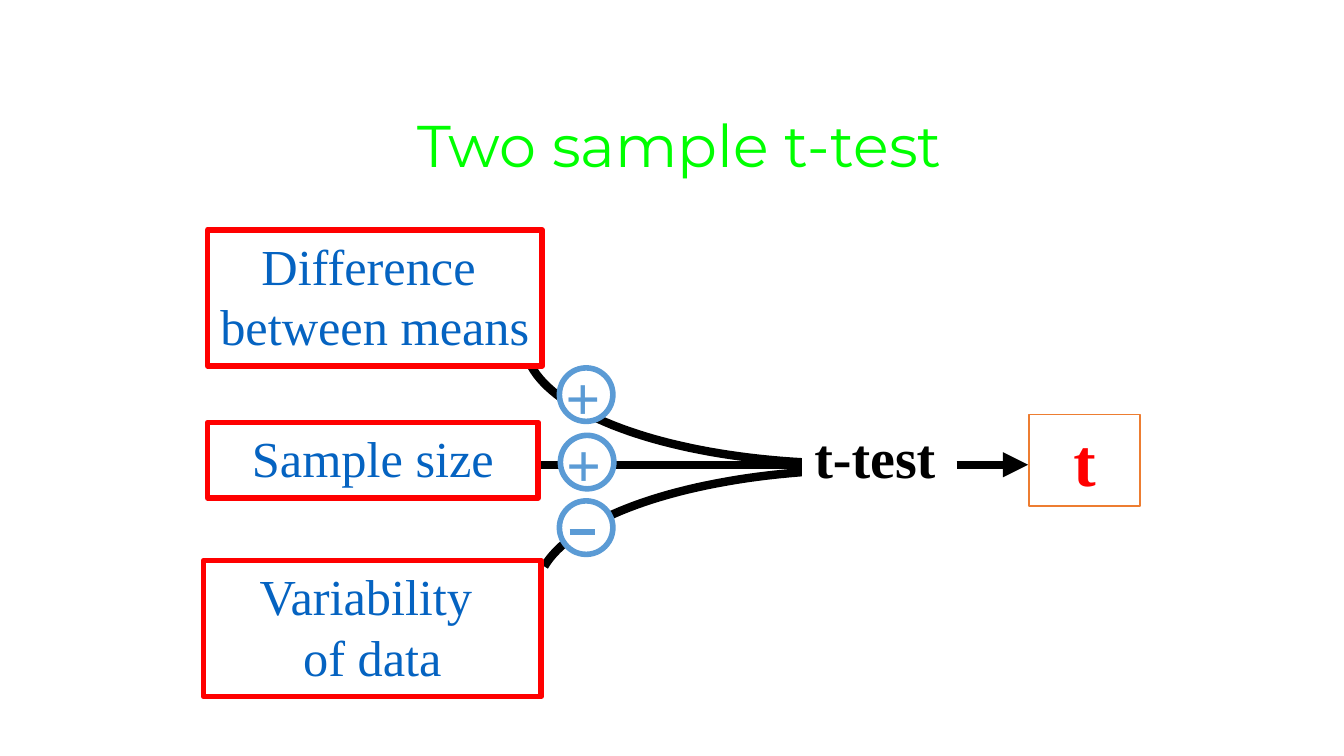
from dataclasses import dataclass

import pptx
import pptx.dml.color
import pptx.enum.shapes
import pptx.enum.text
import pptx.oxml
import pptx.oxml.ns
import pptx.util

Pt = pptx.util.Pt
Shape = pptx.enum.shapes.MSO_SHAPE
Align = pptx.enum.text.PP_ALIGN
Anchor = pptx.enum.text.MSO_ANCHOR
AutoSize = pptx.enum.text.MSO_AUTO_SIZE
Point = tuple[float, float]

SERIF = "Times New Roman"
BLACK, WHITE, RED = "000000", "FFFFFF", "FF0000"
LINK_BLUE, SIGN_BLUE, ORANGE, GREEN = "0563C1", "5B9BD5", "ED7D31", "00FF00"


@dataclass(frozen=True)
class Label:
    lines: tuple[str, ...]
    size: float
    color: str
    bold: bool = False
    font: str = SERIF
    align: Align = Align.CENTER
    wrap: bool = True


@dataclass(frozen=True)
class Box:
    left: float
    top: float
    width: float
    height: float
    outline: str
    weight: float
    label: Label
    fill: str | None = WHITE


@dataclass(frozen=True)
class Sign:
    left: float
    top: float
    positive: bool


FACTORS = (
    Box(148.3, 164.2, 239, 97.2, RED, 4,
        Label(("Difference ", "between means"), 36, LINK_BLUE, wrap=False)),
    Box(148.3, 301.7, 236.2, 54, RED, 4, Label(("Sample size",), 36, LINK_BLUE)),
    Box(145.4, 400.3, 241.2, 97.2, RED, 4,
        Label(("Variability ", "of data"), 36, LINK_BLUE)),
)
TEST = Box(574.6, 298.1, 108.7, 59, WHITE, 4,
           Label(("t-test",), 40, BLACK, True, align=Align.LEFT))
STATISTIC = Box(735.1, 295.9, 79.2, 65.5, ORANGE, 1,
                Label(("t",), 48, RED, True, wrap=False), fill=None)
SIGNS = (Sign(399.6, 262.8, True), Sign(400.3, 311, True), Sign(399.6, 357.8, False))
CURVES = (
    ((388.8, 404.6), (412.6, 364.3), (509, 335.5), (620.6, 335.5)),
    ((379.4, 261.4), (401.8, 302.4), (497.5, 331.2), (607.7, 331.2)),
)
PLUS = Label(("+",), 44, SIGN_BLUE, True, align=Align.LEFT, wrap=False)
SIGN_DIAMETER = 38.2
FLOW_Y = 332
CURVE_STEPS = 40


def rgb(color: str) -> pptx.dml.color.RGBColor:
    return pptx.dml.color.RGBColor.from_string(color)


def write(frame: pptx.text.text.TextFrame, label: Label, anchor: Anchor, fit: AutoSize) -> None:
    frame.word_wrap = label.wrap
    frame.auto_size = fit
    frame.vertical_anchor = anchor
    for index, line in enumerate(label.lines):
        paragraph = frame.paragraphs[0] if index == 0 else frame.add_paragraph()
        paragraph.alignment = label.align
        run = paragraph.add_run()
        run.text = line
        run.font.name = label.font
        run.font.size = Pt(label.size)
        run.font.bold = label.bold
        run.font.color.rgb = rgb(label.color)


def style(shape: pptx.shapes.autoshape.Shape, outline: str, weight: float, fill: str | None) -> None:
    shape.shadow.inherit = False
    if fill is None:
        shape.fill.background()
    else:
        shape.fill.solid()
        shape.fill.fore_color.rgb = rgb(fill)
    shape.line.color.rgb = rgb(outline)
    shape.line.width = Pt(weight)


def draw_box(shapes: pptx.shapes.shapetree.SlideShapes, box: Box) -> None:
    shape = shapes.add_shape(Shape.RECTANGLE, Pt(box.left), Pt(box.top),
                             Pt(box.width), Pt(box.height))
    style(shape, box.outline, box.weight, box.fill)
    write(shape.text_frame, box.label, Anchor.TOP, AutoSize.SHAPE_TO_FIT_TEXT)


def draw_line(shapes: pptx.shapes.shapetree.SlideShapes, start: Point, end: Point,
              color: str, weight: float, arrow: bool = False) -> None:
    line = shapes.add_connector(pptx.enum.shapes.MSO_CONNECTOR.STRAIGHT,
                                *map(Pt, start), *map(Pt, end))
    line.line.color.rgb = rgb(color)
    line.line.width = Pt(weight)
    if arrow:
        head = pptx.oxml.parse_xml(
            f'<a:tailEnd {pptx.oxml.ns.nsdecls("a")} type="triangle"/>')
        line.line._get_or_add_ln().append(head)
    line._element.spPr.append(
        pptx.oxml.parse_xml(f'<a:effectLst {pptx.oxml.ns.nsdecls("a")}/>'))


def bezier(controls: tuple[Point, ...], t: float) -> Point:
    weights = ((1 - t) ** 3, 3 * t * (1 - t) ** 2, 3 * t ** 2 * (1 - t), t ** 3)
    x, y = (sum(w * point[axis] for w, point in zip(weights, controls)) for axis in (0, 1))
    return Pt(x), Pt(y)


def draw_curve(shapes: pptx.shapes.shapetree.SlideShapes, controls: tuple[Point, ...]) -> None:
    points = [bezier(controls, step / CURVE_STEPS) for step in range(CURVE_STEPS + 1)]
    builder = shapes.build_freeform(*points[0])
    builder.add_line_segments(points[1:], close=False)
    style(builder.convert_to_shape(), BLACK, 6, None)


def draw_sign(shapes: pptx.shapes.shapetree.SlideShapes, sign: Sign) -> None:
    circle = shapes.add_shape(Shape.OVAL, Pt(sign.left), Pt(sign.top),
                              Pt(SIGN_DIAMETER), Pt(SIGN_DIAMETER))
    style(circle, SIGN_BLUE, 4, WHITE)
    if sign.positive:
        plus = shapes.add_textbox(Pt(sign.left - 2.9), Pt(sign.top - 10.1), Pt(40.3), Pt(60.5))
        write(plus.text_frame, PLUS, Anchor.TOP, AutoSize.SHAPE_TO_FIT_TEXT)
    else:
        y = sign.top + 22.4
        draw_line(shapes, (sign.left + 7.2, y), (sign.left + 25.2, y), SIGN_BLUE, 4)


def main() -> None:
    deck = pptx.Presentation()
    deck.slide_width, deck.slide_height = Pt(960), Pt(540)
    slide = deck.slides.add_slide(deck.slide_layouts[5])
    shapes = slide.shapes

    title = shapes.title
    title.left, title.top, title.width, title.height = map(Pt, (161.3, 41.8, 648, 90))
    write(title.text_frame, Label(("Two sample t-test",), 42, GREEN, font="Montserrat"),
          Anchor.BOTTOM, AutoSize.NONE)

    for curve in CURVES:
        draw_curve(shapes, curve)
    draw_line(shapes, (359.3, FLOW_Y), (590.4, FLOW_Y), BLACK, 6)
    for box in (*FACTORS, TEST):
        draw_box(shapes, box)
    draw_line(shapes, (683.3, FLOW_Y), (734.4, FLOW_Y), BLACK, 6, arrow=True)
    draw_box(shapes, STATISTIC)
    for sign in SIGNS:
        draw_sign(shapes, sign)

    deck.save("out.pptx")


if __name__ == "__main__":
    main()
